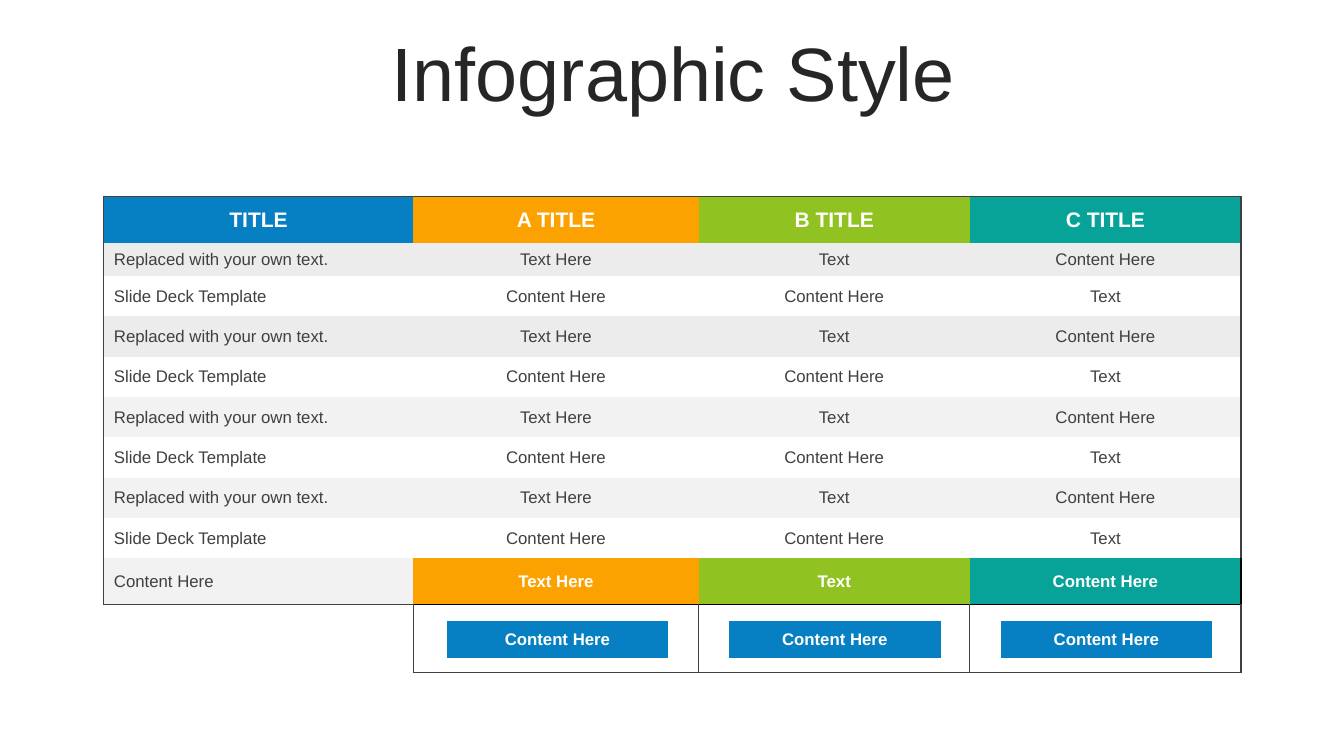
"""Build an infographic comparison table with a three-button footer."""
import dataclasses

import pptx
import pptx.dml.color
import pptx.enum.text
import pptx.oxml
import pptx.oxml.ns
import pptx.util

Inches = pptx.util.Inches
Align = pptx.enum.text.PP_ALIGN
Anchor = pptx.enum.text.MSO_ANCHOR


@dataclasses.dataclass(frozen=True)
class Theme:
    font: str = "Arial"
    ink: str = "262626"
    body: str = "404040"
    black: str = "000000"
    white: str = "FFFFFF"
    columns: tuple = ("0680C3", "FBA200", "90C221", "07A398")
    bands: tuple = ("ECECEC", "F2F2F2")
    title_size: int = 54
    header_size: int = 15
    body_size: int = 12


def write(frame, text, size=12, color="404040", bold=False, align=Align.CENTER):
    paragraph = frame.paragraphs[0]
    paragraph.alignment = align
    run = paragraph.add_run()
    run.text = text
    run.font.name = theme.font
    run.font.size = pptx.util.Pt(size)
    run.font.bold = bold
    run.font.color.rgb = pptx.dml.color.RGBColor.from_string(color)
    return paragraph


def draw_borders(cell, colors):
    properties = cell._tc.get_or_add_tcPr()
    for position, (side, color) in enumerate(colors.items()):
        paint = f'<a:solidFill><a:srgbClr val="{color}"/></a:solidFill>' if color else "<a:noFill/>"
        line = f'<a:ln{side} {pptx.oxml.ns.nsdecls("a")} w="12700">{paint}</a:ln{side}>'
        properties.insert(position, pptx.oxml.parse_xml(line))


theme = Theme()
deck = pptx.Presentation()
deck.slide_width, deck.slide_height = Inches(13.33), Inches(7.5)
slide = deck.slides.add_slide(deck.slide_layouts[6])

heading = slide.shapes.add_textbox(Inches(0.35), Inches(0.37), Inches(12.66), Inches(0.79)).text_frame
heading.word_wrap = True
heading.vertical_anchor = Anchor.MIDDLE
headline = write(heading, "Infographic Style", size=theme.title_size, color=theme.ink)
headline.line_spacing = 0.9
headline.space_before = pptx.util.Pt(10)

widths = [3.07, 0.33, 2.2, 0.3, 0.3, 2.1, 0.29, 0.31, 2.09, 0.29]
heights = [0.46, 0.33] + [0.4] * 7 + [0.46, 0.16, 0.37, 0.14]
total_row, button_row = 9, 11
last_row, last_column = len(heights) - 1, len(widths) - 1
group_starts = [0, 1, 4, 7]

odd_row = ["Replaced with your own text.", "Text Here", "Text", "Content Here"]
even_row = ["Slide Deck Template", "Content Here", "Content Here", "Text"]
content = [["TITLE", "A TITLE", "B TITLE", "C TITLE"]] + [odd_row, even_row] * 4
content.append(["Content Here", "Text Here", "Text", "Content Here"])

table = slide.shapes.add_table(
    len(heights), len(widths), Inches(1.03), Inches(1.95), Inches(sum(widths)), Inches(sum(heights))
).table
table.first_row = table.horz_banding = False
for column, width in zip(table.columns, widths):
    column.width = Inches(width)
for row, height in zip(table.rows, heights):
    row.height = Inches(height)

for r in range(total_row + 1):
    for start in group_starts[1:]:
        table.cell(r, start).merge(table.cell(r, start + 2))
table.cell(total_row + 1, 0).merge(table.cell(last_row, 0))

for r in range(len(heights)):
    in_footer = r > total_row
    for c in range(len(widths)):
        cell = table.cell(r, c)
        cell.vertical_anchor = Anchor.MIDDLE
        group = (c + 2) // 3
        is_button = r == button_row and c % 3 == 2
        is_colored = r == 0 or (r == total_row and c > 0)

        if is_button:
            fill = theme.columns[0]
        elif is_colored:
            fill = theme.columns[group]
        elif in_footer:
            fill = theme.white if c > 0 else None
        else:
            fill = theme.bands[r > 4] if r % 2 else None
        if fill:
            cell.fill.solid()
            cell.fill.fore_color.rgb = pptx.dml.color.RGBColor.from_string(fill)
        else:
            cell.fill.background()

        if is_button:
            cell.margin_left = cell.margin_right = 0
            write(cell.text_frame, "Content Here", theme.body_size, theme.white, bold=True)
        elif not in_footer and c in group_starts:
            write(
                cell.text_frame,
                content[r][group],
                size=theme.body_size if r else theme.header_size,
                color=theme.white if is_colored else theme.body,
                bold=is_colored,
                align=Align.LEFT if r and c == 0 else Align.CENTER,
            )
        else:
            cell.margin_top = cell.margin_bottom = 0
            cell.text_frame.paragraphs[0]._p.get_or_add_endParaRPr().set("sz", "400")

        right_edge = c + cell.span_width - 1 if cell.is_merge_origin else c
        edges = {
            "L": c % 3 == 1 if in_footer else c == 0,
            "R": right_edge == last_column or (in_footer and c % 3 == 0),
            "T": r in (0, total_row + 1),
            "B": r == total_row or (r == last_row and c > 0),
        }
        dark_sides = {total_row: "RB", total_row + 1: "T"}.get(r, "") if c > 0 else ""
        draw_borders(cell, {
            side: (theme.black if side in dark_sides else theme.body) if shown else None
            for side, shown in edges.items()
        })

deck.save("out.pptx")
